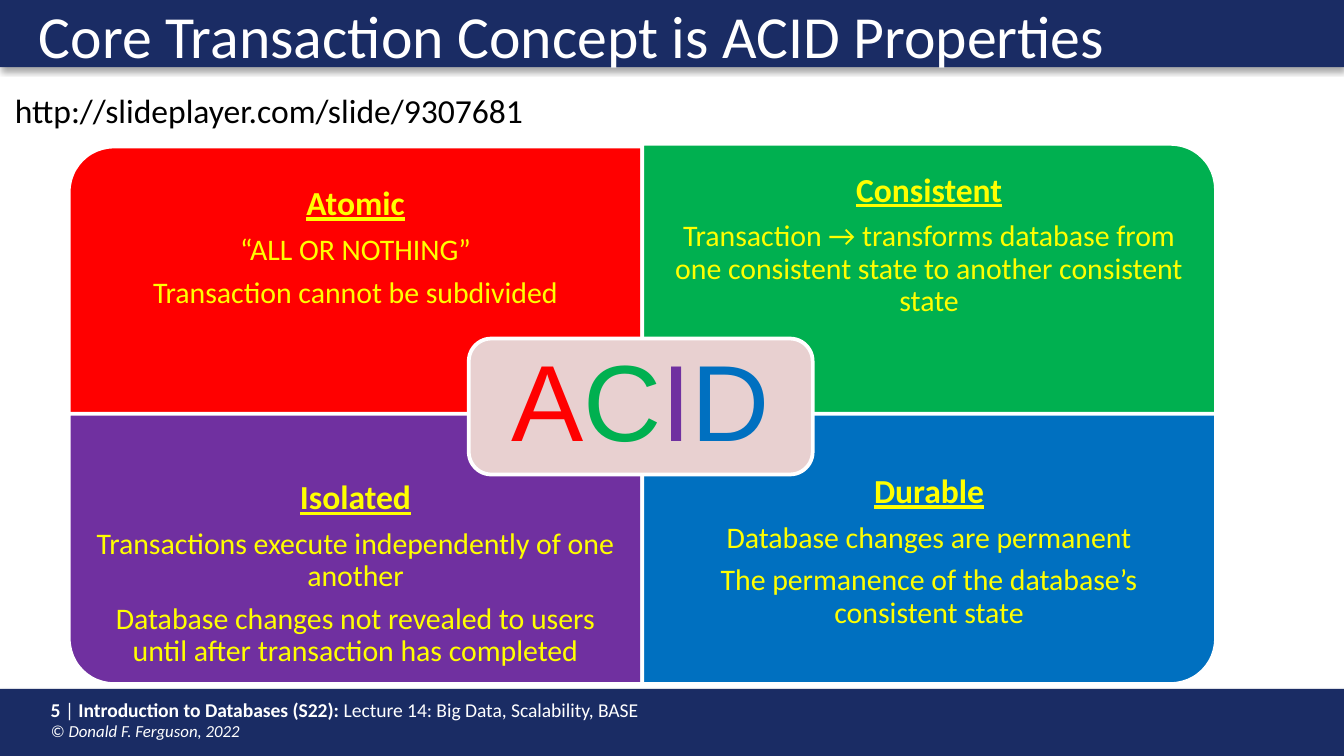
import pptx
import pptx.util
import pptx.dml.color
import pptx.enum.shapes
import pptx.enum.text
import pptx.oxml

Cm, Pt = pptx.util.Cm, pptx.util.Pt
SHAPE = pptx.enum.shapes.MSO_SHAPE
ANCHOR = pptx.enum.text.MSO_ANCHOR
CENTER = pptx.enum.text.PP_ALIGN.CENTER
NAVY, WHITE, YELLOW = "1A2C64", "FFFFFF", "FFFF00"
RED, GREEN, PURPLE, BLUE = "FF0000", "00B050", "7030A0", "0070C0"


def color(hex_string):
    return pptx.dml.color.RGBColor.from_string(hex_string)


def set_font(font, size, hex_string, name="Calibri"):
    font.name, font.size = name, Pt(size)
    font.color.rgb = color(hex_string)


deck = pptx.Presentation()
deck.slide_width, deck.slide_height = Cm(25.4), Cm(14.29)
page = deck.slides.add_slide(deck.slide_layouts[5])
shapes = page.shapes
title = shapes.title

# Navy bars with a soft shadow, at the top and bottom
for top in (13.02, 0):
    bar = shapes.add_shape(SHAPE.RECTANGLE, 0, Cm(top), Cm(25.4), Cm(1.27))
    bar.fill.solid()
    bar.fill.fore_color.rgb = color(NAVY)
    bar.line.fill.background()
    bar.shadow.inherit = False
    effects = bar._element.spPr.find(pptx.oxml.ns.qn("a:effectLst"))
    effects.append(pptx.oxml.parse_xml(
        '<a:outerShdw xmlns:a="http://schemas.openxmlformats.org/drawingml/2006/main" '
        'blurRad="39400" dist="22900" dir="5400000" rotWithShape="0">'
        '<a:srgbClr val="000000"><a:alpha val="35000"/></a:srgbClr></a:outerShdw>'))

# Title, moved in front of the top bar
shapes._spTree.append(title._element)
title.left, title.top, title.width, title.height = Cm(0.48), 0, Cm(24.08), Cm(1.22)
title.text_frame.text = "Core Transaction Concept is ACID Properties"
title.text_frame.auto_size = pptx.enum.text.MSO_AUTO_SIZE.NONE
title.text_frame.vertical_anchor = ANCHOR.TOP
para = title.text_frame.paragraphs[0]
para.alignment = pptx.enum.text.PP_ALIGN.LEFT
para.line_spacing = 0.9
set_font(para.font, 32, WHITE)

# Footer
footer = shapes.add_textbox(Cm(0.71), Cm(13.06), Cm(18.85), Cm(1.09)).text_frame
footer.word_wrap = True
para = footer.paragraphs[0]
set_font(para.font, 10.5, WHITE)
for text, bold in (("5 ", True), ("|", False),
                   (" Introduction to Databases (S22): ", True),
                   ("Lecture 14: Big Data, Scalability, BASE", False)):
    span = para.add_run()
    span.text, span.font.bold = text, bold
para = footer.add_paragraph()
para.text = "© Donald F. Ferguson, 2022"
set_font(para.font, 9, WHITE)
para.font.italic = True

# Four panels, each turned so that its rounded corner points outward:
# left, top, rotation, fill, text top, anchor, top inset, lines
WIDTH, HEIGHT, TEXT_HEIGHT = 10.84, 5.11, 3.84
LEFT, MIDDLE = 1.3, 12.14
panels = (
    (LEFT, 2.77, 270, RED, 2.77, ANCHOR.MIDDLE, 0.36,
     ("Atomic", "“ALL OR NOTHING”", "Transaction cannot be subdivided")),
    (MIDDLE, 2.72, 0, GREEN, 2.72, ANCHOR.MIDDLE, 0.36,
     ("Consistent", "Transaction → transforms database from one consistent "
      "state to another consistent state")),
    (LEFT, 7.82, 180, PURPLE, 9.09, ANCHOR.TOP, 0,
     ("Isolated", "Transactions execute independently of one another",
      "Database changes not revealed to users until after transaction has completed")),
    (MIDDLE, 7.82, 90, BLUE, 8.97, ANCHOR.TOP, 0,
     ("Durable", "Database changes are permanent",
      "The permanence of the database’s consistent state")),
)
for left, top, rotation, fill, text_top, anchor, inset, lines in panels:
    width, height = (HEIGHT, WIDTH) if rotation % 180 else (WIDTH, HEIGHT)
    panel = shapes.add_shape(SHAPE.ROUND_1_RECTANGLE,
                             Cm(left + (WIDTH - width) / 2), Cm(top + (HEIGHT - height) / 2),
                             Cm(width), Cm(height))
    panel.rotation = rotation
    panel.shadow.inherit = False
    panel.fill.solid()
    panel.fill.fore_color.rgb = color(fill)
    panel.line.color.rgb = color(WHITE)
    panel.line.width = Pt(2)

    frame = shapes.add_textbox(Cm(left), Cm(text_top), Cm(WIDTH), Cm(TEXT_HEIGHT)).text_frame
    frame.word_wrap = True
    frame.vertical_anchor = anchor
    frame.margin_left = frame.margin_right = frame.margin_bottom = Cm(0.36)
    frame.margin_top = Cm(inset)
    for number, line in enumerate(lines):
        heading = number == 0
        para = frame.paragraphs[0] if heading else frame.add_paragraph()
        para.text = line
        para.alignment, para.line_spacing = CENTER, 0.9
        size = 18 if heading else 16
        para.space_after = Pt(0.35 * size)
        set_font(para.font, size, YELLOW)
        para.font.bold = para.font.underline = heading

# Central badge
badge = shapes.add_shape(SHAPE.ROUNDED_RECTANGLE, Cm(8.86), Cm(6.4), Cm(6.5), Cm(2.57))
badge.shadow.inherit = False
badge.fill.solid()
badge.fill.fore_color.rgb = color("E8D0D0")
badge.line.color.rgb = color(WHITE)
badge.line.width = Pt(2)
frame = badge.text_frame
frame.vertical_anchor = ANCHOR.MIDDLE
frame.margin_top = frame.margin_bottom = 0
para = frame.paragraphs[0]
para.alignment, para.line_spacing = CENTER, 0.9
for letter, hex_string in zip("ACID", (RED, GREEN, PURPLE, BLUE)):
    span = para.add_run()
    span.text = letter
    set_font(span.font, 58, hex_string, "Arial")

# Source address
address = shapes.add_textbox(Cm(0.03), Cm(1.57), Cm(10.24), Cm(1.02)).text_frame
address.word_wrap = False
para = address.paragraphs[0]
para.text = "http://slideplayer.com/slide/9307681"
set_font(para.font, 18, "000000")

deck.save("out.pptx")
